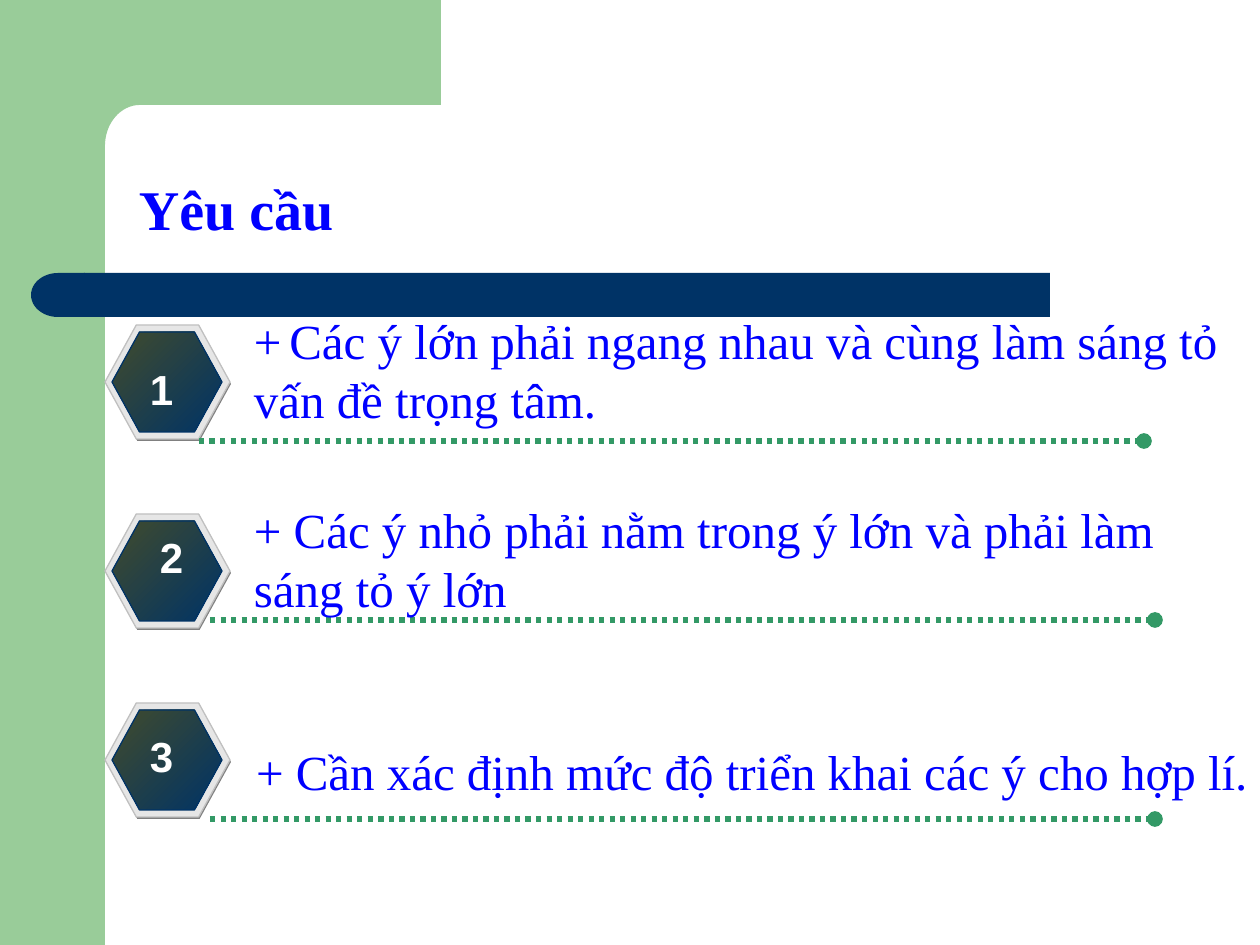
import math

import lxml.etree
import pptx
import pptx.dml.color
import pptx.enum.dml
import pptx.enum.shapes
import pptx.enum.text
import pptx.oxml.ns
import pptx.util

SHAPE = pptx.enum.shapes.MSO_SHAPE
ALIGN = pptx.enum.text.PP_ALIGN
PX = 914400 / 126
SLIDE_W, SLIDE_H = 1260, 945

THEME = {
    "green": "99CC99", "navy": "003366", "dots": "339966", "olive": "414B2C",
    "shade": "808080", "rim": "E6E6E6", "rim_edge": "C0C0C0",
    "text": "0000FF", "number": "FFFFFF",
    "serif": "Times New Roman", "sans": "Arial",
    "title_size": 32, "body_size": 28, "gap_size": 18, "number_size": 24,
}

TITLE = "Yêu cầu"
BODY, GAP = THEME["body_size"], THEME["gap_size"]
INSET = 13
# Boxes are left, top, width, height; rule is the start of the dotted line.
REQUIREMENTS = [
    {"number": "1", "number_at": (137, 357), "rule": (199, 441),
     "box": (241, 304, 1019, 131), "right_inset": INSET,
     "runs": [("+", BODY), (" ", GAP),
              ("Các ý lớn phải ngang nhau và cùng làm sáng tỏ vấn đề trọng tâm.", BODY)]},
    {"number": "2", "number_at": (137 + 10, 525), "rule": (210, 620),
     "box": (241, 493, 1019, 131), "right_inset": INSET,
     "runs": [("+ Các ý nhỏ phải nằm trong ý lớn và phải làm sáng tỏ ý lớn", BODY)]},
    {"number": "3", "number_at": (137, 724), "rule": (210, 819),
     "box": (243, 735, 1017, 72), "right_inset": 0,
     "runs": [("+ Cần xác định mức độ triển khai các ý cho hợp lí.", BODY)]},
]
BADGE_LEFT, BADGE_TOP, BADGE_PITCH = 105, 325, 189
RULE_LENGTH = 945


def emu(*lengths):
    return [round(length * PX) for length in lengths]


def rgb(name):
    return pptx.dml.color.RGBColor.from_string(THEME[name])


def paint(shape, fill, line=None):
    """Give the shape a solid fill, or a gradient when fill is a pair."""
    shape.shadow.inherit = False
    if isinstance(fill, tuple):
        shape.fill.gradient()
        shape.fill.gradient_angle = 315
        for stop, name in zip(shape.fill.gradient_stops, fill):
            stop.color.rgb = rgb(name)
    else:
        shape.fill.solid()
        shape.fill.fore_color.rgb = rgb(fill)
    if line:
        shape.line.color.rgb = rgb(line)
        shape.line.width = pptx.util.Pt(0.75)
    else:
        shape.line.fill.background()


def add_painted(shapes, preset, box, fill, line=None):
    shape = shapes.add_shape(preset, *emu(*box))
    paint(shape, fill, line)
    return shape


def add_text(slide, box, runs, font, color, bold=False, wrap=True,
             align=ALIGN.LEFT, right_inset=INSET):
    frame = slide.shapes.add_textbox(*emu(*box)).text_frame
    frame.word_wrap = wrap
    frame.auto_size = pptx.enum.text.MSO_AUTO_SIZE.SHAPE_TO_FIT_TEXT
    frame.margin_left, frame.margin_right = emu(INSET, right_inset)
    paragraph = frame.paragraphs[0]
    paragraph.alignment = align
    for text, size in runs:
        run = paragraph.add_run()
        run.text = text
        run.font.name = THEME[font]
        run.font.size = pptx.util.Pt(size)
        run.font.bold = bold
        run.font.color.rgb = rgb(color)


def add_frame(slide):
    """Green side panel with its rounded inner corner, and the navy bar."""
    add_painted(slide.shapes, SHAPE.RECTANGLE, (0, 0, 105, SLIDE_H), "green")
    center_x, center_y, radius_x, radius_y = 140, 146, 35, 41
    steps = 16
    angles = [math.pi / 2 * (1 + i / steps) for i in range(steps + 1)]
    arc = [(center_x + radius_x * math.cos(a), center_y - radius_y * math.sin(a))
           for a in angles]
    outline = [(441, 105), *arc, (105, 161), (63, 161), (63, 0)]
    builder = slide.shapes.build_freeform(*emu(441, 0), scale=1.0)
    builder.add_line_segments([emu(*point) for point in outline], close=True)
    paint(builder.convert_to_shape(), "green")
    add_painted(slide.shapes, SHAPE.RECTANGLE, (84, 273, 966, 44), "navy")
    cap = add_painted(slide.shapes, SHAPE.FLOWCHART_DELAY, (31, 273, 54, 44), "navy")
    cap.rotation = 180


def add_badge(slide, left, top):
    layers = [
        ((left + 1, top + 2, 125, 114), "shade", None),
        ((left, top, 125, 114), "rim", "rim_edge"),
        ((left + 7, top + 7, 110, 100), ("olive", "navy"), "navy"),
    ]
    badge = slide.shapes.add_group_shape()
    for box, fill, line in layers:
        hexagon = add_painted(badge.shapes, SHAPE.HEXAGON, box, fill, line)
        hexagon.adjustments[0] = 0.275


def add_dotted_rule(slide, left, top):
    rule = slide.shapes.add_connector(
        pptx.enum.shapes.MSO_CONNECTOR.STRAIGHT,
        *emu(left, top, left + RULE_LENGTH, top))
    rule.line.color.rgb = rgb("dots")
    rule.line.width = pptx.util.Pt(3)
    rule.line.dash_style = pptx.enum.dml.MSO_LINE.ROUND_DOT
    qn = pptx.oxml.ns.qn
    properties = rule.line._get_or_add_ln()
    lxml.etree.SubElement(properties, qn("a:tailEnd"), type="oval")
    lxml.etree.SubElement(properties.getparent(), qn("a:effectLst"))


def main():
    deck = pptx.Presentation()
    deck.slide_width, deck.slide_height = emu(SLIDE_W, SLIDE_H)
    slide = deck.slides.add_slide(deck.slide_layouts[6])
    add_frame(slide)
    add_text(slide, (126, 168, 378, 81), [(TITLE, THEME["title_size"])],
             "serif", "text", bold=True)
    for row, item in enumerate(REQUIREMENTS):
        add_badge(slide, BADGE_LEFT, BADGE_TOP + row * BADGE_PITCH)
        add_dotted_rule(slide, *item["rule"])
        add_text(slide, item["box"], item["runs"], "serif", "text",
                 right_inset=item["right_inset"])
        add_text(slide, (*item["number_at"], 48, 63),
                 [(item["number"], THEME["number_size"])],
                 "sans", "number", bold=True, wrap=False, align=ALIGN.CENTER)
    deck.save("out.pptx")


if __name__ == "__main__":
    main()
